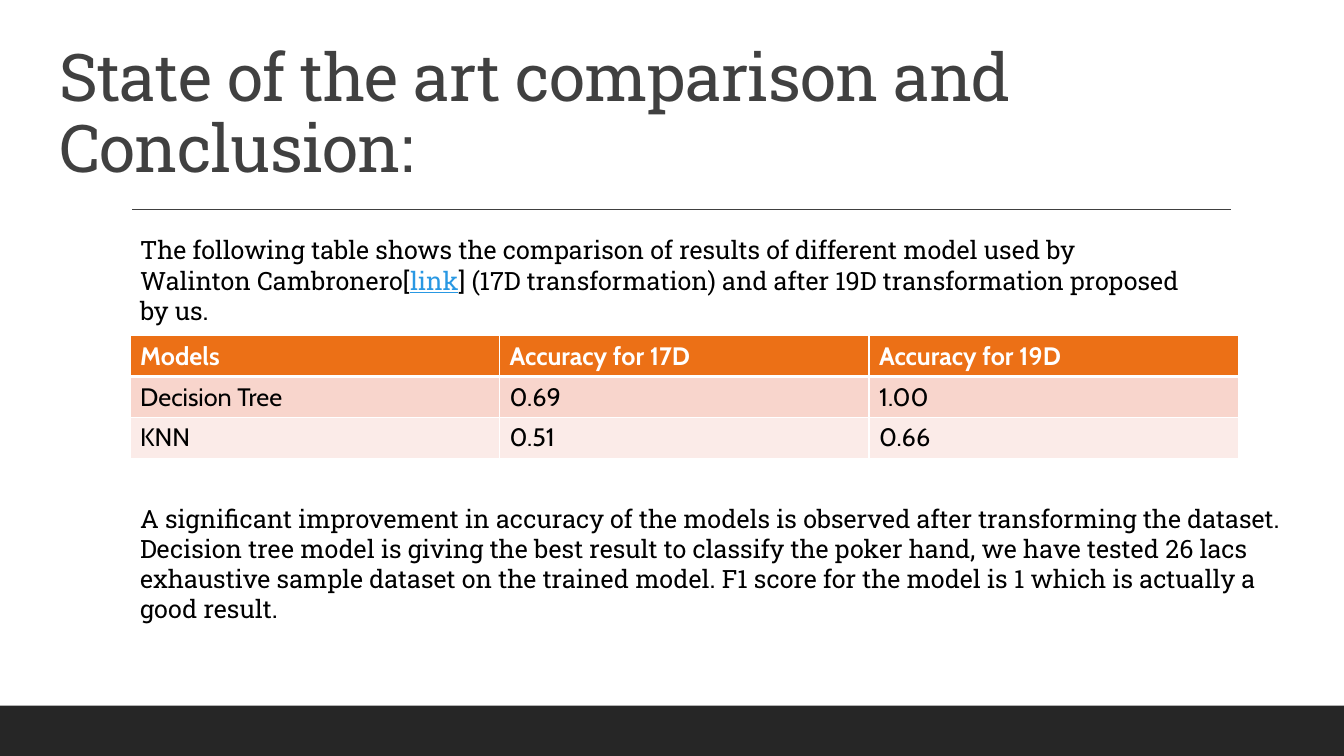
from lxml.etree import SubElement
from pptx import Presentation
from pptx.dml.color import RGBColor
from pptx.enum.shapes import MSO_CONNECTOR as Connector, MSO_SHAPE as Shape
from pptx.enum.text import MSO_ANCHOR as Anchor
from pptx.oxml.ns import qn
from pptx.util import Cm, Pt

WHITE = RGBColor(0xFF, 0xFF, 0xFF)
BLACK = RGBColor(0x00, 0x00, 0x00)
CHARCOAL = RGBColor(0x26, 0x26, 0x26)
GREY = RGBColor(0x40, 0x40, 0x40)
ORANGE = RGBColor(0xEC, 0x70, 0x16)
PINK = RGBColor(0xF8, 0xD5, 0xCC)
PALE_PINK = RGBColor(0xFB, 0xEB, 0xE8)
LINK_BLUE = RGBColor(0x29, 0x98, 0xE3)

SLIDE_WIDTH, SLIDE_HEIGHT = 33.87, 19.05
FOOTER_HEIGHT = 1.27
CONTENT_LEFT = 3.28

BODY = {"name": "Roboto Slab", "size": Pt(18), "color": BLACK}
TITLE = BODY | {"size": Pt(47), "color": GREY}
LINK = BODY | {"color": LINK_BLUE, "underline": True}
CELL = BODY | {"name": "Cabin", "bold": False}
HEADER = CELL | {"color": WHITE, "bold": True}

RESULTS = [
    ("Models", "Accuracy for 17D", "Accuracy for 19D"),
    ("Decision Tree", "0.69", "1.00"),
    ("KNN", "0.51", "0.66"),
]


class SlideBuilder:
    def __init__(self, slide):
        self.slide = slide

    def add_styled_run(self, paragraph, text, style):
        run = paragraph.add_run()
        run.text = text
        for attribute, value in style.items():
            if attribute == "color":
                run.font.color.rgb = value
            else:
                setattr(run.font, attribute, value)
        return run

    def text(self, box, runs, anchor=Anchor.TOP, line_spacing=1.0):
        shape = self.slide.shapes.add_textbox(*map(Cm, box))
        frame = shape.text_frame
        frame.word_wrap = True
        frame.vertical_anchor = anchor
        paragraph = frame.paragraphs[0]
        paragraph.line_spacing = line_spacing
        return [self.add_styled_run(paragraph, text, style)
                for text, style in runs]

    def bar(self, box, color):
        shape = self.slide.shapes.add_shape(Shape.RECTANGLE, *map(Cm, box))
        shape.shadow.inherit = False
        shape.fill.solid()
        shape.fill.fore_color.rgb = color
        shape.line.fill.background()

    def rule(self, left, right, y, color):
        line = self.slide.shapes.add_connector(
            Connector.STRAIGHT, Cm(left), Cm(y), Cm(right), Cm(y))
        line.line.color.rgb = color
        line.line.width = Pt(1)
        SubElement(line._element.spPr, qn("a:effectLst"))

    def borders(self, cell, widths):
        properties = cell._tc.get_or_add_tcPr()
        for side, width in widths.items():
            line = SubElement(properties, qn(f"a:ln{side}"), w=str(Pt(width)))
            fill = SubElement(line, qn("a:solidFill"))
            SubElement(fill, qn("a:srgbClr"), val=str(WHITE))

    def table(self, left, top, column_width, row_height, rows, fills):
        columns = len(rows[0])
        table = self.slide.shapes.add_table(
            len(rows), columns, Cm(left), Cm(top),
            Cm(column_width * columns), Cm(row_height * len(rows))).table
        for r, (row, color) in enumerate(zip(rows, fills)):
            for c, value in enumerate(row):
                cell = table.cell(r, c)
                # Borders come before the fill in the cell properties
                self.borders(cell, {"L": 1, "R": 1, "T": 3 if r == 1 else 1,
                                    "B": 3 if r == 0 else 1})
                cell.fill.solid()
                cell.fill.fore_color.rgb = color
                self.add_styled_run(cell.text_frame.paragraphs[0], value,
                                    CELL if r else HEADER)


def main():
    presentation = Presentation()
    presentation.slide_width = Cm(SLIDE_WIDTH)
    presentation.slide_height = Cm(SLIDE_HEIGHT)
    builder = SlideBuilder(
        presentation.slides.add_slide(presentation.slide_layouts[6]))

    # Footer bar and title rule
    builder.bar((0, SLIDE_HEIGHT - FOOTER_HEIGHT, SLIDE_WIDTH, FOOTER_HEIGHT),
                CHARCOAL)
    builder.rule(3.33, 31.01, 5.28, GREY)

    # Title, slightly tightened
    [title] = builder.text(
        (1.24, 0.79, 29.74, 4.04),
        [("State of the art comparison and Conclusion:", TITLE)],
        Anchor.BOTTOM, 0.9)
    title.font._element.set("spc", "-50")

    # Results table
    builder.table(CONTENT_LEFT, 8.46, 9.31, 1.03, RESULTS,
                  (ORANGE, PINK, PALE_PINK))

    # Introduction and conclusion
    builder.text((CONTENT_LEFT, 5.79, 27, 2.57), [
        ("The following table shows the comparison of results of different "
         "model used by Walinton Cambronero[", BODY),
        ("link", LINK),
        ("] (17D transformation) and after 19D transformation proposed by us.",
         BODY),
    ])
    builder.text((CONTENT_LEFT, 12.55, 29.74, 3.33), [
        ("A significant improvement in accuracy of the models is observed "
         "after transforming the dataset. Decision tree model is giving the "
         "best result to classify the poker hand, we have tested 26 lacs "
         "exhaustive sample dataset on the trained model. F1 score for the "
         "model is 1 which is actually a good result.", BODY),
    ])

    presentation.save("out.pptx")


if __name__ == "__main__":
    main()
